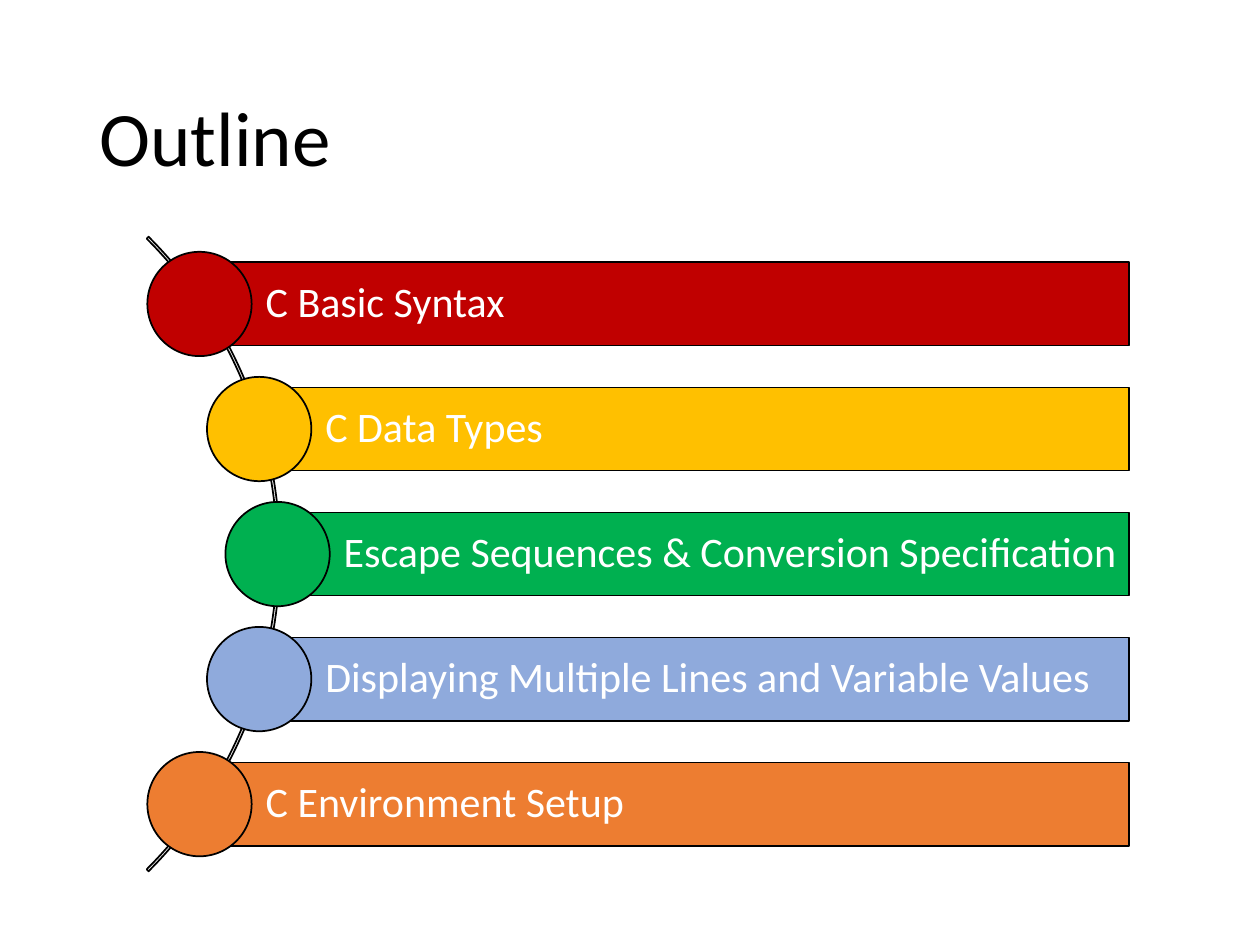
from pptx import Presentation
from pptx.dml.color import RGBColor
from pptx.enum.shapes import MSO_SHAPE
from pptx.enum.text import MSO_ANCHOR, MSO_AUTO_SIZE, PP_ALIGN
from pptx.util import Pt

ARC, BAR, DOT = MSO_SHAPE.BLOCK_ARC, MSO_SHAPE.RECTANGLE, MSO_SHAPE.OVAL
MIDDLE, LEFT, NO_FIT = MSO_ANCHOR.MIDDLE, PP_ALIGN.LEFT, MSO_AUTO_SIZE.NONE

COLORS = {
    "black": "000000", "white": "FFFFFF", "red": "C00000", "yellow": "FFC000",
    "green": "00B050", "blue": "8FAADC", "orange": "ED7D31",
}
TITLE = "Outline"
# Topic, colour, x of the dot centre (also the left edge of the bar)
TOPICS = [
    ("C Basic Syntax", "red", 114),
    ("C Data Types", "yellow", 148.1),
    ("Escape Sequences & Conversion Specification", "green", 158.6),
    ("Displaying Multiple Lines and Variable Values", "blue", 148.1),
    ("C Environment Setup", "orange", 114),
]
FIRST_Y, PITCH = 173.7, 71.45
BAR_RIGHT, BAR_H, DOT_D = 645.3, 47.6, 59.6
ARC_LEFT, ARC_D = -352.8, 512.8


def rgb(name):
    return RGBColor.from_string(COLORS[name])


def add_shape(kind, x, y, w, h, fill=None):
    sp = s.shapes.add_shape(kind, Pt(x), Pt(y), Pt(w), Pt(h))
    sp.shadow.inherit = False
    if fill:
        sp.fill.solid()
        sp.fill.fore_color.rgb = rgb(fill)
    else:
        sp.fill.background()
    sp.line.color.rgb = rgb("black")
    sp.line.width = Pt(1)
    return sp


def set_text(sp, text, size, color):
    tf = sp.text_frame
    tf.text = text
    tf.word_wrap = True
    tf.auto_size = NO_FIT
    tf.vertical_anchor = MIDDLE
    p = tf.paragraphs[0]
    p.alignment = LEFT
    p.line_spacing = 0.9
    p.font.name = "Calibri"
    p.font.size = Pt(size)
    p.font.color.rgb = rgb(color)
    return tf


prs = Presentation()
prs.slide_width, prs.slide_height = Pt(720), Pt(540)
s = prs.slides.add_slide(prs.slide_layouts[5])

# Title
title = s.shapes.title
title.left, title.top, title.width, title.height = Pt(49.5), Pt(28.8), Pt(621), Pt(104.4)
set_text(title, TITLE, 44, "black")

# Arc behind the dots, centred on the middle topic
mid_y = FIRST_Y + PITCH * (len(TOPICS) - 1) / 2
arc = add_shape(ARC, ARC_LEFT, mid_y - ARC_D / 2, ARC_D, ARC_D)
for i, value in enumerate((189, 27, 0.003)):
    arc.adjustments[i] = value

# Topic bars, each with a dot on its left edge
for i, (topic, color, x) in enumerate(TOPICS):
    y = FIRST_Y + i * PITCH
    bar = add_shape(BAR, x, y - BAR_H / 2, BAR_RIGHT - x, BAR_H, color)
    tf = set_text(bar, topic, 24, "white")
    tf.margin_left = Pt(37.8)
    tf.margin_top = tf.margin_right = tf.margin_bottom = Pt(4.8)
    add_shape(DOT, x - DOT_D / 2, y - DOT_D / 2, DOT_D, DOT_D, color)

prs.save("out.pptx")
